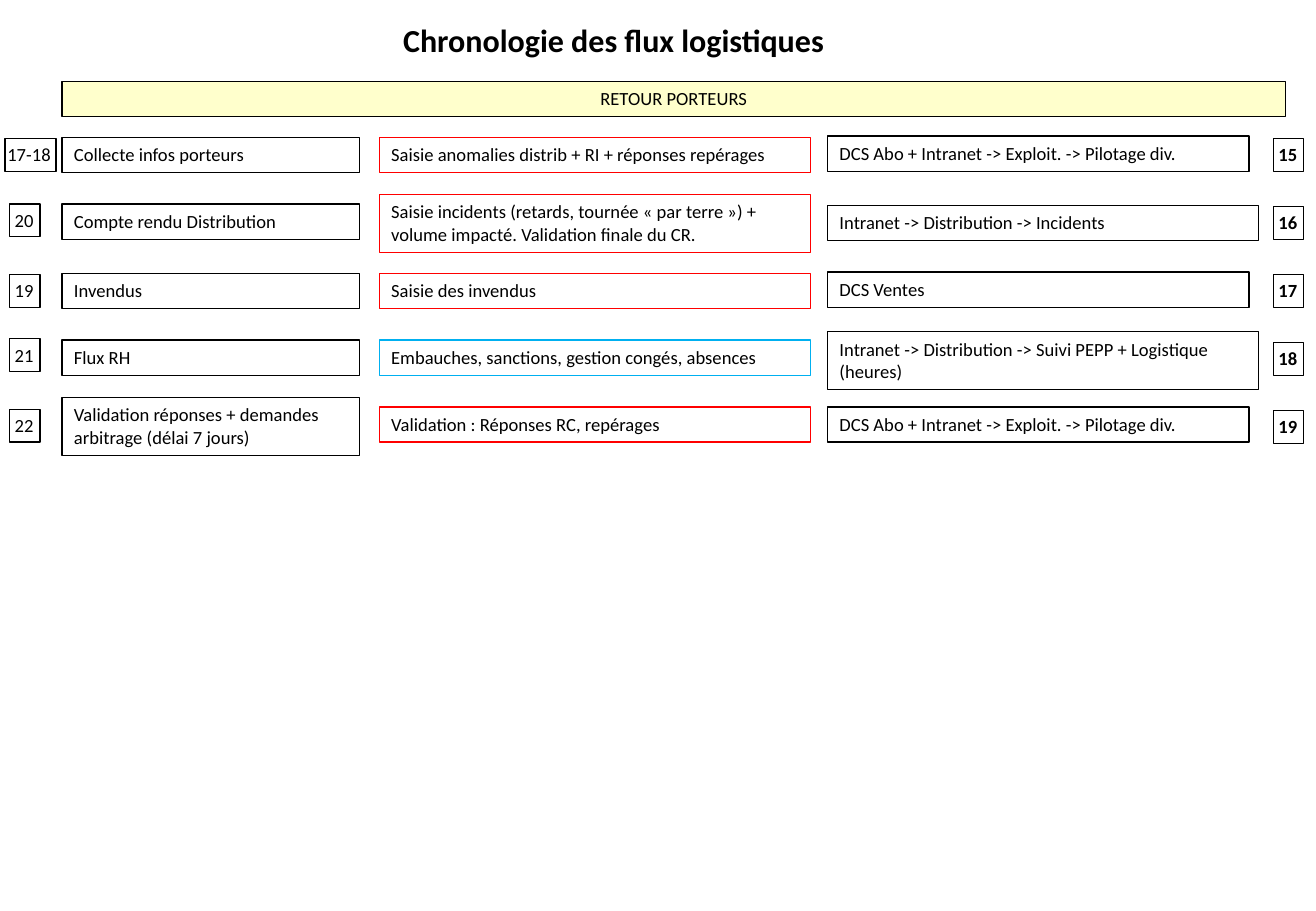
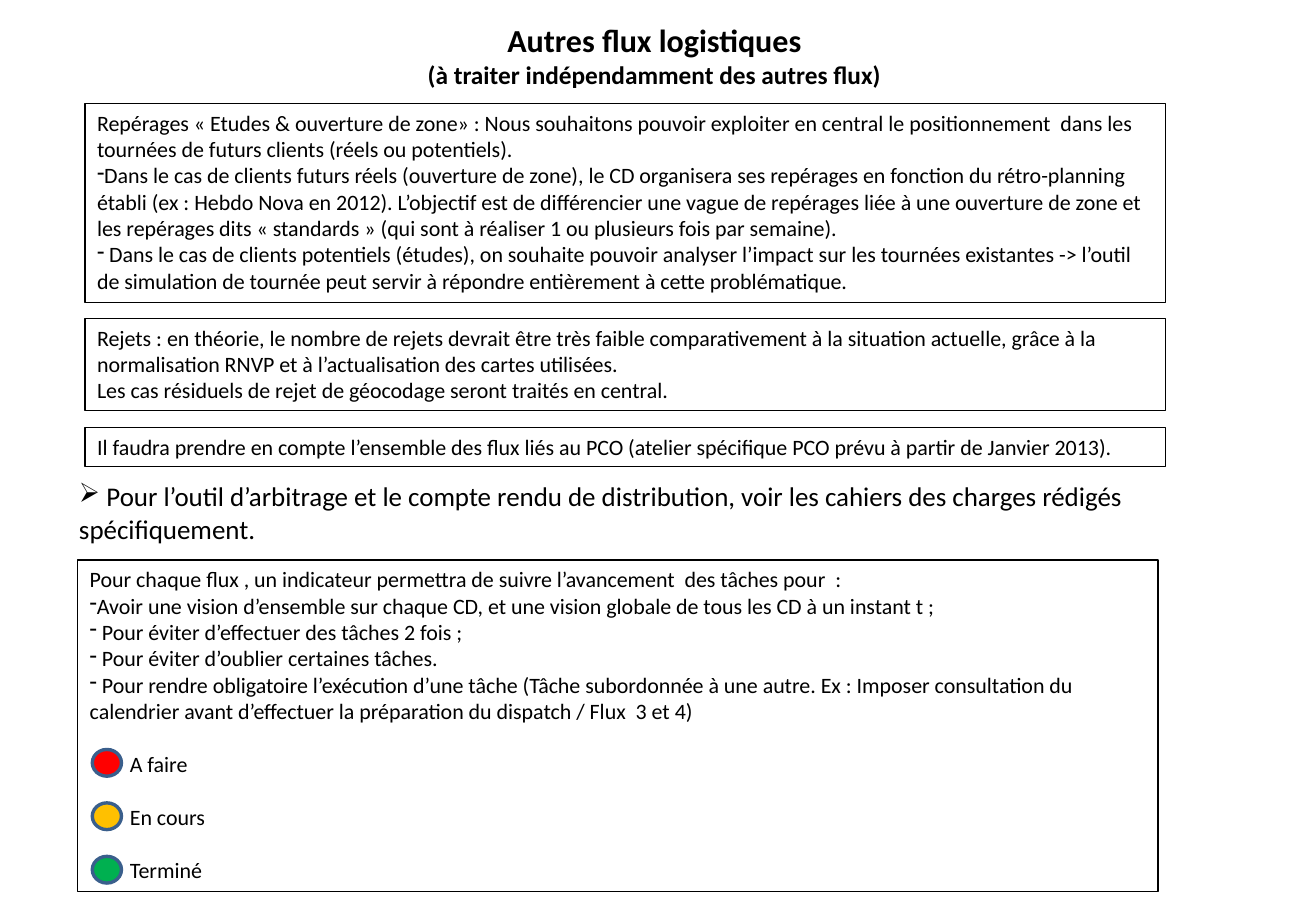
"""Build the two slides on the logistics flows."""
import pptx
import pptx.dml.color
import pptx.enum.shapes
import pptx.enum.text
import pptx.oxml.ns
import pptx.util
from lxml import etree

Inches = pptx.util.Inches
Pt = pptx.util.Pt
RGBColor = pptx.dml.color.RGBColor
Preset = pptx.enum.shapes.MSO_SHAPE
Align = pptx.enum.text.PP_ALIGN

BLACK = RGBColor(0x00, 0x00, 0x00)
RED = RGBColor(0xFF, 0x00, 0x00)
SKY = RGBColor(0x00, 0xB0, 0xF0)
CREAM = RGBColor(0xFF, 0xFF, 0xCC)
AMBER = RGBColor(0xFF, 0xC0, 0x00)
GREEN = RGBColor(0x00, 0xB0, 0x50)
NAVY = RGBColor(0x3A, 0x5F, 0x8C)

LINE_HEIGHTS = {1: 0.29, 2: 0.48}

TASKS = [
    ("Collecte infos porteurs", 1.13, 1),
    ("Compte rendu Distribution", 1.68, 1),
    ("Invendus", 2.25, 1),
    ("Flux RH", 2.8, 1),
    ("Validation réponses + demandes arbitrage (délai 7 jours)", 3.27, 2),
]
ACTIONS = [
    ("Saisie anomalies distrib + RI + réponses repérages", 1.13, 1, RED),
    ("Saisie incidents (retards, tournée « par terre ») + volume impacté. "
     "Validation finale du CR.", 1.6, 2, RED),
    ("Saisie des invendus", 2.25, 1, RED),
    ("Embauches, sanctions, gestion congés, absences", 2.8, 1, SKY),
    ("Validation : Réponses RC, repérages", 3.35, 1, RED),
]
TOOLS = [
    ("DCS Abo + Intranet -> Exploit. -> Pilotage div.", 1.12, 1, 3.47),
    ("Intranet -> Distribution -> Incidents", 1.69, 1, 3.55),
    ("DCS Ventes", 2.24, 1, 3.47),
    ("Intranet -> Distribution -> Suivi PEPP + Logistique (heures)", 2.73, 2, 3.55),
    ("DCS Abo + Intranet -> Exploit. -> Pilotage div.", 3.35, 1, 3.47),
]
STEPS = [("20", 1.68), ("19", 2.26), ("21", 2.79), ("22", 3.37)]

SURVEYS = [
    "Repérages « Etudes & ouverture de zone» : Nous souhaitons pouvoir exploiter en "
    "central le positionnement  dans les tournées de futurs clients (réels ou potentiels).",
    "-Dans le cas de clients futurs réels (ouverture de zone), le CD organisera ses "
    "repérages en fonction du rétro-planning établi (ex : Hebdo Nova en 2012). L’objectif "
    "est de différencier une vague de repérages liée à une ouverture de zone et les "
    "repérages dits « standards » (qui sont à réaliser 1 ou plusieurs fois par semaine).",
    "- Dans le cas de clients potentiels (études), on souhaite pouvoir analyser l’impact "
    "sur les tournées existantes -> l’outil de simulation de tournée peut servir à "
    "répondre entièrement à cette problématique.",
]
REJECTS = [
    "Rejets : en théorie, le nombre de rejets devrait être très faible comparativement à "
    "la situation actuelle, grâce à la normalisation RNVP et à l’actualisation des cartes "
    "utilisées.",
    "Les cas résiduels de rejet de géocodage seront traités en central.",
]
PCO = [
    "Il faudra prendre en compte l’ensemble des flux liés au PCO (atelier spécifique PCO "
    "prévu à partir de Janvier 2013).",
]
REFERENCE = [
    "➢ Pour l’outil d’arbitrage et le compte rendu de distribution, voir les cahiers des "
    "charges rédigés spécifiquement.",
]
TRACKING = [
    "Pour chaque flux , un indicateur permettra de suivre l’avancement  des tâches pour  :",
    "-Avoir une vision d’ensemble sur chaque CD, et une vision globale de tous les CD à un "
    "instant t ;",
    "- Pour éviter d’effectuer des tâches 2 fois ;",
    "- Pour éviter d’oublier certaines tâches.",
    "- Pour rendre obligatoire l’exécution d’une tâche (Tâche subordonnée à une autre. "
    "Ex : Imposer consultation du calendrier avant d’effectuer la préparation du dispatch "
    "/ Flux  3 et 4)",
]
STATUSES = {"A faire": RED, "En cours": AMBER, "Terminé": GREEN}


class Deck:
    """Hold the shared style and the current slide."""

    font = "Calibri"
    bullets = "-➢"

    def __init__(self):
        self.prs = pptx.Presentation()
        self.prs.slide_width = Inches(10.83)
        self.prs.slide_height = Inches(7.5)
        self.slide = None

    def new_slide(self):
        self.slide = self.prs.slides.add_slide(self.prs.slide_layouts[6])

    def fill_text(self, shape, lines, size, bold=False, align=Align.LEFT,
                  inset=(0.1, 0.05, 0.1)):
        frame = shape.text_frame
        frame.word_wrap = True
        frame.vertical_anchor = pptx.enum.text.MSO_ANCHOR.TOP
        left, vertical, right = inset
        frame.margin_left, frame.margin_right = Inches(left), Inches(right)
        frame.margin_top = frame.margin_bottom = Inches(vertical)
        frame.text = "\n".join(line.lstrip(self.bullets) for line in lines)
        for paragraph, line in zip(frame.paragraphs, lines):
            paragraph.alignment = align
            if line[0] in self.bullets:
                mark = etree.SubElement(paragraph._p.get_or_add_pPr(),
                                        pptx.oxml.ns.qn("a:buChar"))
                mark.set("char", line[0])
            for run in paragraph.runs:
                run.font.name = self.font
                run.font.size = Pt(size)
                run.font.bold = bold
                run.font.color.rgb = BLACK
        return frame

    def text(self, at, lines, size, **style):
        label = self.slide.shapes.add_textbox(*map(Inches, at))
        return self.fill_text(label, lines, size, **style)

    def outline(self, preset, at, fill, line, weight):
        shape = self.slide.shapes.add_shape(preset, *map(Inches, at))
        shape.shadow.inherit = False
        if fill is None:
            shape.fill.background()
        else:
            shape.fill.solid()
            shape.fill.fore_color.rgb = fill
        shape.line.color.rgb = line
        shape.line.width = Pt(weight)
        return shape

    def box(self, at, lines, size=11, fill=None, line=BLACK, **style):
        shape = self.outline(Preset.RECTANGLE, at, fill, line, 0.75)
        return self.fill_text(shape, lines, size, **style)

    def number(self, left, top, label, width=0.25, inset=0.04, bold=False):
        self.box((left, top, width, 0.27), [label], bold=bold, inset=(inset, 0.04, 0))

    def light(self, top, colour):
        self.outline(Preset.OVAL, (0.76, top, 0.24, 0.22), colour, NAVY, 2)


def build_chronology(deck):
    deck.new_slide()
    deck.text((3.22, 0.12, 4.06, 0.43), ["Chronologie des flux logistiques"], 19, bold=True)
    deck.box((0.51, 0.67, 10.07, 0.29), ["RETOUR PORTEURS"], fill=CREAM, align=Align.CENTER)
    for task, top, rows in TASKS:
        deck.box((0.51, top, 2.45, LINE_HEIGHTS[rows]), [task])
    for action, top, rows, colour in ACTIONS:
        deck.box((3.12, top, 3.55, LINE_HEIGHTS[rows]), [action], line=colour)
    for tool, top, rows, width in TOOLS:
        deck.box((6.81, top, width, LINE_HEIGHTS[rows]), [tool])
    deck.number(0.04, 1.14, "17-18", width=0.42, inset=0.02)
    for step, top in STEPS:
        deck.number(0.08, top, step)
    for row in range(5):
        deck.number(10.48, 1.14 + 0.56 * row, str(15 + row), bold=True)


def build_other_flows(deck):
    deck.new_slide()
    heading = deck.text(
        (3.24, 0.12, 4.29, 0.68),
        ["Autres flux logistiques", "(à traiter indépendamment des autres flux)"],
        19, bold=True, align=Align.CENTER)
    heading.paragraphs[1].runs[0].font.size = Pt(15)
    for top, height, topic in ((0.85, 1.64, SURVEYS), (2.62, 0.76, REJECTS), (3.52, 0.32, PCO)):
        deck.box((0.7, top, 8.89, height), topic, size=13)
    deck.text((0.58, 3.91, 9.55, 0.61), REFERENCE, 16, inset=(0.07, 0.04, 0.07))
    tracking = deck.box((0.64, 4.61, 8.89, 2.73), TRACKING + list(STATUSES), size=13)
    for status in tracking.paragraphs[len(TRACKING):]:
        status.space_before = Pt(15.8)
        status._p.get_or_add_pPr().set("marL", str(Inches(0.33)))
    for row, colour in enumerate(STATUSES.values()):
        deck.light(6.17 + 0.44 * row, colour)


def main():
    deck = Deck()
    build_chronology(deck)
    build_other_flows(deck)
    deck.prs.save("out.pptx")


if __name__ == "__main__":
    main()
